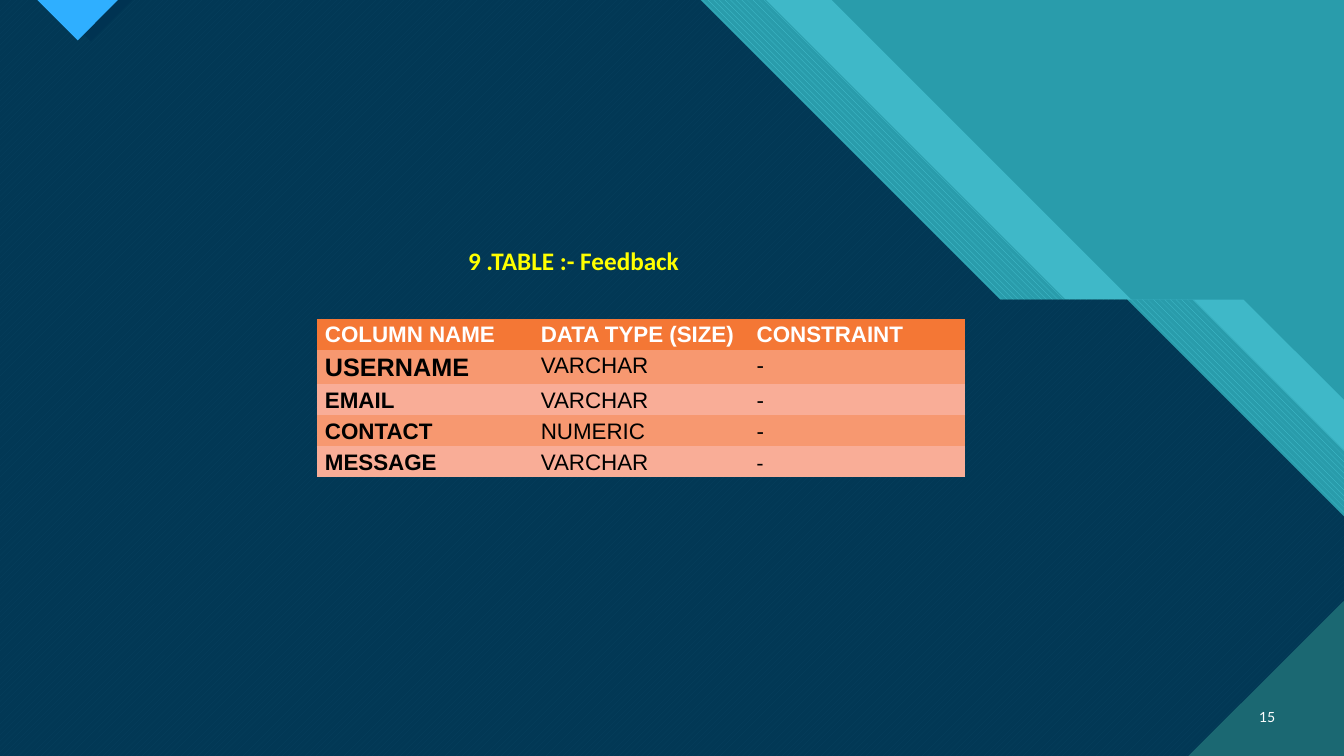
from pptx import Presentation
from pptx import util as u
from pptx.dml.color import RGBColor
from pptx.enum import dml, shapes, text
from lxml import etree

W, H = 33.87, 19.05
STEP = 7.55  # height of the ledge in the diagonal bands
DARK, TEAL, AQUA, GREEN = "003352", "299CAB", "47C3D3", "1B6872"


def rgb(code):
    return RGBColor.from_string(code)


def write(frame, words, size, font, color, bold=False, align=text.PP_ALIGN.LEFT):
    paragraph = frame.paragraphs[0]
    paragraph.alignment = align
    run = paragraph.add_run()
    run.text = words
    run.font.size = u.Pt(size)
    run.font.name = font
    run.font.bold = bold
    run.font.color.rgb = rgb(color)
    return paragraph


deck = Presentation()
deck.slide_width, deck.slide_height = u.Cm(W), u.Cm(H)
slide = deck.slides.add_slide(deck.slide_layouts[6])

# Teal base
base = slide.shapes.add_shape(shapes.MSO_SHAPE.RECTANGLE, 0, 0, u.Cm(W), u.Cm(H))
base.shadow.inherit = False
base.fill.solid()
base.fill.fore_color.rgb = rgb(TEAL)
base.line.fill.background()

# Diagonal bands at 45 degrees: left edge, top corner, ledge end, colour, pattern, opacity
down, up = dml.MSO_PATTERN.WIDE_DOWNWARD_DIAGONAL, dml.MSO_PATTERN.WIDE_UPWARD_DIAGONAL
outlines = []
for left, top_x, ledge_x, color, pattern, opacity in [
    (0, 20.96, 31.34, AQUA, None, 74),
    (1.68, 19.3, 30.07, AQUA, (down, TEAL), 100),
    (0, 17.65, 28.4, AQUA, (up, GREEN), 100),
    (0, 17.65, 28.4, DARK, None, 90),
]:
    points = [(left, 0), (top_x, 0), (top_x + STEP, STEP), (ledge_x, STEP),
              (W, STEP + W - ledge_x), (W, H), (left, H)]
    outlines.append((points, color, pattern, opacity))

# Corner triangles
outlines += [
    ([(1.22, 0), (2.29, 1.04), (3.33, 0)], DARK, None, 100),
    ([(0.94, 0), (1.96, 1.02), (2.97, 0)], "2FAFFF", None, 100),
    ([(29.95, H), (W, H), (W, 15.14)], GREEN, None, 100),
]

for points, color, pattern, opacity in outlines:
    corners = [(u.Cm(x), u.Cm(y)) for x, y in points]
    builder = slide.shapes.build_freeform(*corners[0])
    builder.add_line_segments(corners[1:], close=True)
    band = builder.convert_to_shape()
    band.shadow.inherit = False
    band.line.fill.background()
    if pattern:
        band.fill.patterned()
        band.fill.pattern, back = pattern
        band.fill.back_color.rgb = rgb(back)
    else:
        band.fill.solid()
    band.fill.fore_color.rgb = rgb(color)
    if opacity < 100:
        tint = band.fill._xPr.find(".//{*}srgbClr")
        etree.SubElement(tint, tint.tag.replace("srgbClr", "alpha"), val=str(opacity * 1000))

# Heading and page number
for words, box, size, font, color, bold, align in [
    ("9 .TABLE :- Feedback", (8.89, 5.69, 11.13, 1.75), 18, "Calibri", "FFFF00", True,
     text.PP_ALIGN.CENTER),
    ("15", (31.27, 17.55, 1.12, 1.02), 10, "Lato", "FFFFFF", False, text.PP_ALIGN.RIGHT),
]:
    frame = slide.shapes.add_textbox(*[u.Cm(v) for v in box]).text_frame
    frame.word_wrap = True
    frame.vertical_anchor = text.MSO_ANCHOR.MIDDLE
    write(frame, words, size, font, color, bold, align)

# Feedback table
fields = [
    ("COLUMN NAME", "DATA TYPE (SIZE)", "CONSTRAINT"),
    ("USERNAME", "VARCHAR", "-"),
    ("EMAIL", "VARCHAR", "-"),
    ("CONTACT", "NUMERIC", "-"),
    ("MESSAGE", "VARCHAR", "-"),
]
feedback = slide.shapes.add_table(
    len(fields), 3, u.Cm(8), u.Cm(8.03), u.Cm(16.32), u.Cm(3.78)).table
for column in feedback.columns:
    column.width = u.Cm(5.44)
for r, field in enumerate(fields):
    feedback.rows[r].height = u.Cm(0.84 if r == 1 else 0.74)
    row_fill = "F47735" if r == 0 else ("F79870" if r % 2 else "F9AD97")
    for c, words in enumerate(field):
        cell = feedback.cell(r, c)
        cell.fill.solid()
        cell.fill.fore_color.rgb = rgb(row_fill)
        cell.margin_left = cell.margin_right = u.Cm(0.19)
        cell.margin_top = cell.margin_bottom = 0
        size = 18 if words == "USERNAME" else 16
        font = "Calibri" if (r, c) == (4, 2) else "Arial"
        color = "FFFFFF" if r == 0 else "000000"
        paragraph = write(cell.text_frame, words, size, font, color, r == 0 or c == 0)
        paragraph.line_spacing = 1.15

# Plain cells without white rules between them
style_id = feedback._tbl.tblPr.find("{*}tableStyleId")
style_id.text = "{2D5ABB26-0587-4C30-8999-92F81FD0307C}"

deck.save("out.pptx")
